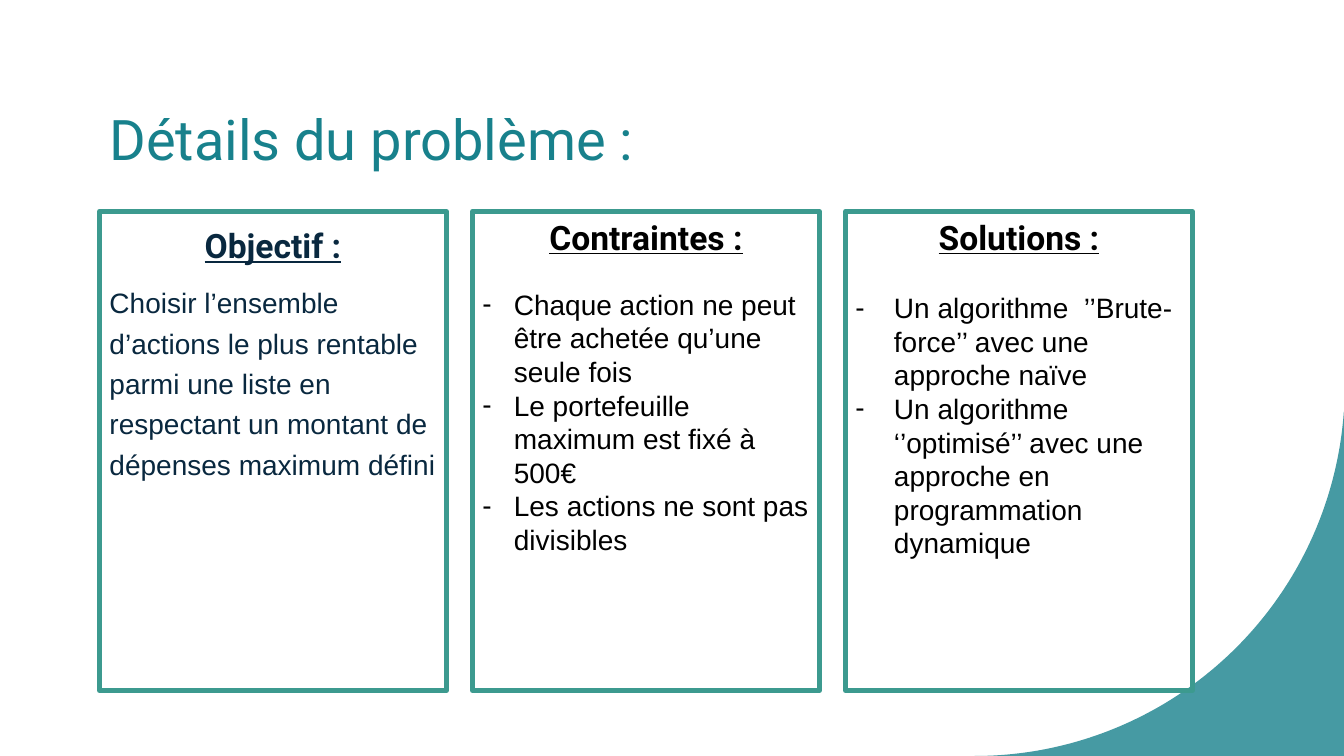
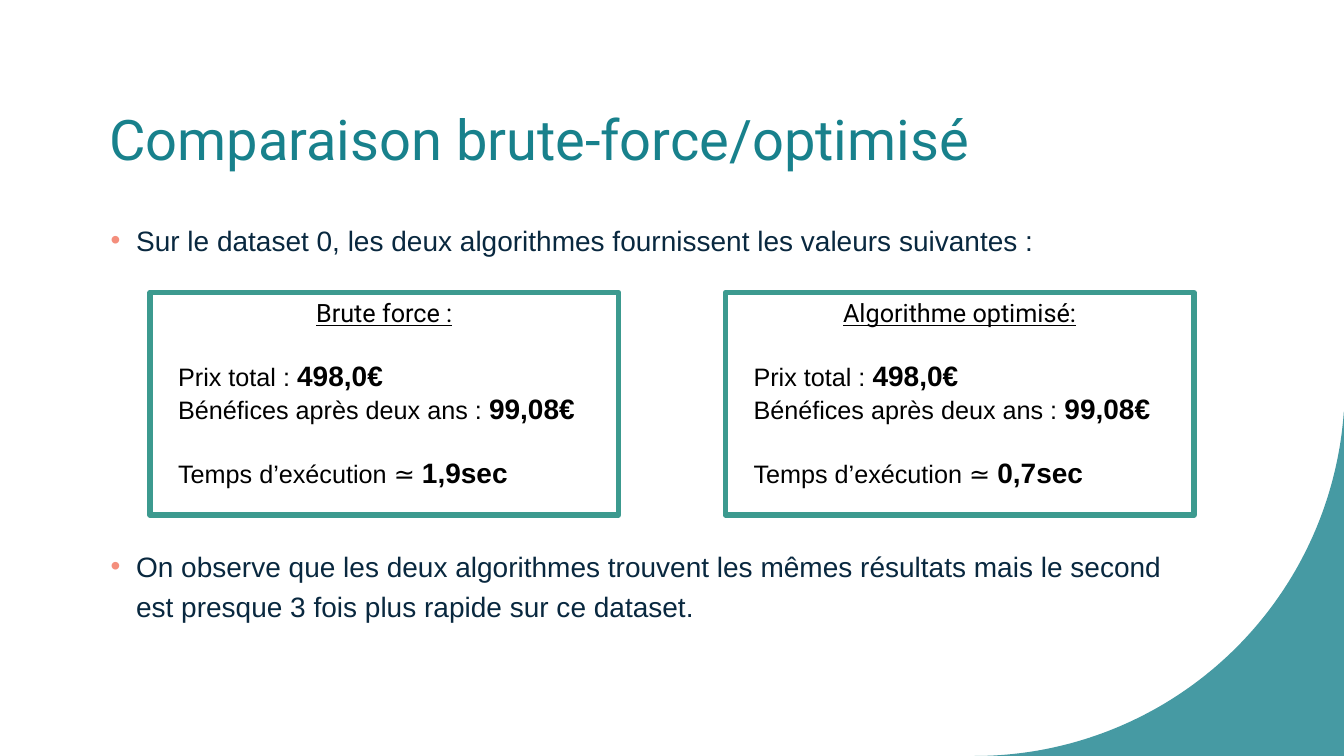
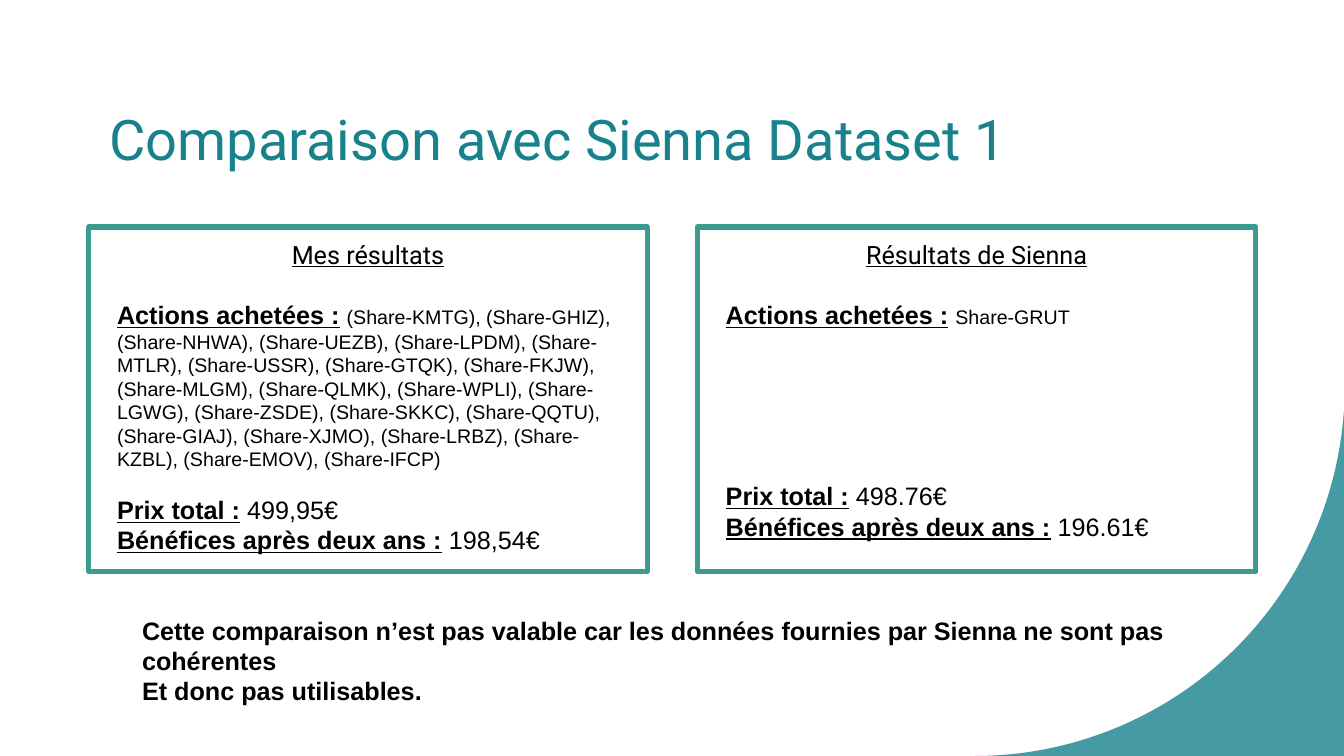
from dataclasses import dataclass
from math import cos, radians, sin

from lxml import etree
from pptx import Presentation
from pptx.dml.color import RGBColor
from pptx.enum.shapes import MSO_SHAPE
from pptx.enum.text import MSO_ANCHOR, PP_ALIGN
from pptx.oxml.ns import qn
from pptx.shapes.base import BaseShape
from pptx.slide import Slide
from pptx.text.text import TextFrame
from pptx.util import Cm, Pt

RECT = MSO_SHAPE.RECTANGLE
TOP, MIDDLE = MSO_ANCHOR.TOP, MSO_ANCHOR.MIDDLE
LEFT, CENTER = PP_ALIGN.LEFT, PP_ALIGN.CENTER

TEAL = RGBColor(0x18, 0x81, 0x8C)
GREEN = RGBColor(0x3C, 0x9A, 0x8F)
NAVY = RGBColor(0x09, 0x28, 0x3F)
CORAL = RGBColor(0xF4, 0x8E, 0x7C)
BLACK = RGBColor(0, 0, 0)

HEAD, BODY = "Roboto", "Arial"
WIDTH, HEIGHT = 33.87, 19.05
LINE = 1.2  # height of an Arial line, relative to its size


@dataclass(frozen=True)
class Run:
    """A piece of text with its own weight and size."""
    text: str
    size: float
    bold: bool = False
    under: bool = False


@dataclass(frozen=True)
class Para:
    """A paragraph; gap is the space before it in points."""
    runs: tuple[Run, ...]
    font: str = BODY
    color: RGBColor = BLACK
    align: PP_ALIGN = LEFT
    gap: float = 0
    lead: float | None = None
    mark: str = ""
    tint: RGBColor | None = None
    indent: float = 0


@dataclass(frozen=True)
class Box:
    """A place on the slide, in centimetres."""
    left: float
    top: float
    width: float
    height: float


@dataclass(frozen=True)
class Row:
    """Equal cards side by side, with their text margins."""
    first: Box
    pitch: float
    side: float = 0.25
    above: float = 0.13


TITLE = Box(2.51, 1.65, 27.53, 3.68)
POINTS = Box(2.54, 5.33, 27.53, 11.73)
NOTE = Box(3.33, 15.37, 27.2, 1.8)
DETAILS = Row(Box(2.51, 5.33, 8.74, 12.07), 9.4)
SPEEDS = Row(Box(3.78, 7.37, 11.81, 5.61), 14.5, side=0.71)
RESULTS = Row(Box(2.24, 5.72, 14.07, 8.69), 15.34, side=0.71, above=0.3)


def add_mark(para, item: Para) -> None:
    """Give a paragraph its bullet and hanging indent."""
    props = para._p.get_or_add_pPr()
    props.set("marL", str(Cm(item.indent)))
    props.set("indent", str(-Cm(item.indent)))
    if item.tint is not None:
        color = etree.SubElement(props, qn("a:buClr"))
        etree.SubElement(color, qn("a:srgbClr"), val=str(item.tint))
    etree.SubElement(props, qn("a:buFont"), typeface=BODY)
    etree.SubElement(props, qn("a:buChar"), char=item.mark)


def write(frame: TextFrame, items: list[Para], anchor: MSO_ANCHOR = TOP,
          side: float = 0.25, above: float = 0.13) -> None:
    """Fill a text frame with paragraphs."""
    frame.word_wrap = True
    frame.vertical_anchor = anchor
    frame.margin_left = frame.margin_right = Cm(side)
    frame.margin_top, frame.margin_bottom = Cm(above), Cm(0.13)
    for i, item in enumerate(items):
        para = frame.add_paragraph() if i else frame.paragraphs[0]
        para.alignment = item.align
        para.space_before = Pt(item.gap)
        para.line_spacing = item.lead
        if item.mark:
            add_mark(para, item)
        para.font.name = item.font
        para.font.color.rgb = item.color
        same = len({(r.size, r.bold, r.under) for r in item.runs}) == 1
        for part in item.runs:
            run = para.add_run()
            run.text = part.text
            font = para.font if same else run.font
            font.size = Pt(part.size)
            font.bold, font.underline = part.bold, part.under


def place(box: Box, step: float = 0) -> tuple[Cm, Cm, Cm, Cm]:
    """Turn a box, moved right by step, into lengths."""
    return Cm(box.left + step), Cm(box.top), Cm(box.width), Cm(box.height)


def add_text(slide: Slide, box: Box, items: list[Para],
             anchor: MSO_ANCHOR = TOP) -> None:
    """Add a plain text box."""
    write(slide.shapes.add_textbox(*place(box)).text_frame, items, anchor)


def add_cards(slide: Slide, row: Row, cards: list[list[Para]]) -> None:
    """Draw a row of framed cards."""
    for i, items in enumerate(cards):
        card = slide.shapes.add_shape(RECT, *place(row.first, i * row.pitch))
        card.shadow.inherit = False
        card.fill.background()
        card.line.color.rgb = GREEN
        card.line.width = Pt(3.75)
        write(card.text_frame, items, side=row.side, above=row.above)


def fade(shape: BaseShape, share: int) -> None:
    """Set the opacity of a solid fill, in percent."""
    color = shape._element.spPr.find(qn("a:solidFill"))[0]
    etree.SubElement(color, qn("a:alpha"), val=str(share * 1000))


def add_curve(slide: Slide) -> None:
    """Fill the bottom right corner outside a quarter circle."""
    x, y, radius = 24.56, 9.72, 9.33
    arc = [(Cm(x + radius * cos(radians(a))), Cm(y + radius * sin(radians(a))))
           for a in range(4, 91)]
    pen = slide.shapes.build_freeform(Cm(WIDTH), Cm(HEIGHT))
    pen.add_line_segments(arc)
    curve = pen.convert_to_shape()
    curve.shadow.inherit = False
    curve.fill.solid()
    curve.fill.fore_color.rgb = TEAL
    fade(curve, 80)
    curve.line.fill.background()


def add_slide(deck, title: str) -> Slide:
    """Start a slide with the shared corner and title."""
    slide = deck.slides.add_slide(deck.slide_layouts[6])
    add_curve(slide)
    add_text(slide, TITLE, [Para((Run(title, 40),), HEAD, TEAL)], MIDDLE)
    return slide


def heading(text: str, size: float = 18, bold: bool = False) -> Para:
    """Underlined, centred card heading."""
    return Para((Run(text, size, bold, True),), HEAD, align=CENTER)


def dashes(texts: list[str], indent: float, gap: float) -> list[Para]:
    """Dashed list, set off from its heading by gap."""
    return [Para((Run(text, 20),), mark="-", indent=indent,
                 gap=0 if i else gap) for i, text in enumerate(texts)]


def point(text: str, gap: float = 10) -> Para:
    """Main bullet of a slide."""
    return Para((Run(text, 20),), color=NAVY, gap=gap, lead=1.2,
                mark="•", tint=CORAL, indent=0.64)


def figure(label: str, value: str, gap: float = 0) -> Para:
    """Plain label followed by a bold value."""
    return Para((Run(label, 18), Run(value, 20, True)), gap=gap)


def entry(label: str, value: str, size: float = 18, gap: float = 0) -> Para:
    """Bold underlined label followed by a plain value."""
    return Para((Run(label, 18, True, True), Run(" ", 18, True),
                 Run(value, size)), gap=gap)


def speed(name: str, time: str) -> list[Para]:
    """Card with the figures of one algorithm."""
    return [heading(name),
            figure("Prix total : ", "498,0€", 18 * LINE),
            figure("Bénéfices après deux ans : ", "99,08€"),
            figure("Temps d’exécution ≃ ", time, 18 * LINE)]


def result(name: str, shares: str, price: str, gain: str,
           gap: float) -> list[Para]:
    """Card with the shares bought and what they bring."""
    return [heading(name),
            entry("Actions achetées :", shares, 14, 18 * LINE),
            entry("Prix total :", price, gap=gap),
            entry("Bénéfices après deux ans :", gain)]


def add_details(deck) -> None:
    """Goal, limits and solutions."""
    slide = add_slide(deck, "Détails du problème :")
    goal = [
        Para((Run("Objectif :", 24, True, True),), HEAD, NAVY, CENTER, 10, 1.2),
        Para((Run("Choisir l’ensemble d’actions le plus rentable parmi une "
                  "liste en respectant un montant de dépenses maximum défini",
                  20),), color=NAVY, gap=10, lead=1.2)]
    limits = [heading("Contraintes :", 24, True)] + dashes([
        "Chaque action ne peut être achetée qu’une seule fois",
        "Le portefeuille maximum est fixé à 500€",
        "Les actions ne sont pas divisibles"], 0.79, 18 * LINE)
    ways = [heading("Solutions :", 24, True)] + dashes([
        "Un algorithme \u00a0’’Brute-force’’ avec une approche naïve",
        "Un algorithme ‘’optimisé’’ avec une approche en programmation "
        "dynamique"], 0.97, 20 * LINE)
    add_cards(slide, DETAILS, [goal, limits, ways])


def add_speeds(deck) -> None:
    """Both algorithms side by side."""
    slide = add_slide(deck, "Comparaison brute-force/optimisé")
    add_text(slide, POINTS, [
        point("Sur le dataset 0, les deux algorithmes fournissent les valeurs "
              "suivantes :"),
        point("On observe que les deux algorithmes trouvent les mêmes "
              "résultats mais le second est presque 3 fois plus rapide sur ce "
              "dataset.", gap=204)])
    add_cards(slide, SPEEDS, [speed("Brute force :", "1,9sec"),
                              speed("Algorithme optimisé:", "0,7sec")])


def add_results(deck) -> None:
    """Own results beside those of Sienna."""
    slide = add_slide(deck, "Comparaison avec Sienna Dataset 1")
    codes = ("KMTG GHIZ NHWA UEZB LPDM MTLR USSR GTQK FKJW MLGM QLMK WPLI "
             "LGWG ZSDE SKKC QQTU GIAJ XJMO LRBZ KZBL EMOV IFCP").split()
    shares = ", ".join(f"(Share-{code})" for code in codes)
    add_cards(slide, RESULTS, [
        result("Mes résultats", shares, "499,95€", "198,54€", 14 * LINE),
        result("Résultats de Sienna", "Share-GRUT", "498.76€", "196.61€",
               5 * 18 * LINE)])
    add_text(slide, NOTE, [Para((Run(text, 18, True),)) for text in (
        "Cette comparaison n’est pas valable car les données fournies par "
        "Sienna ne sont pas cohérentes",
        "Et donc pas utilisables.")])


def main() -> None:
    """Build and save the deck."""
    deck = Presentation()
    deck.slide_width, deck.slide_height = Cm(WIDTH), Cm(HEIGHT)
    add_details(deck)
    add_speeds(deck)
    add_results(deck)
    deck.save("out.pptx")


main()
